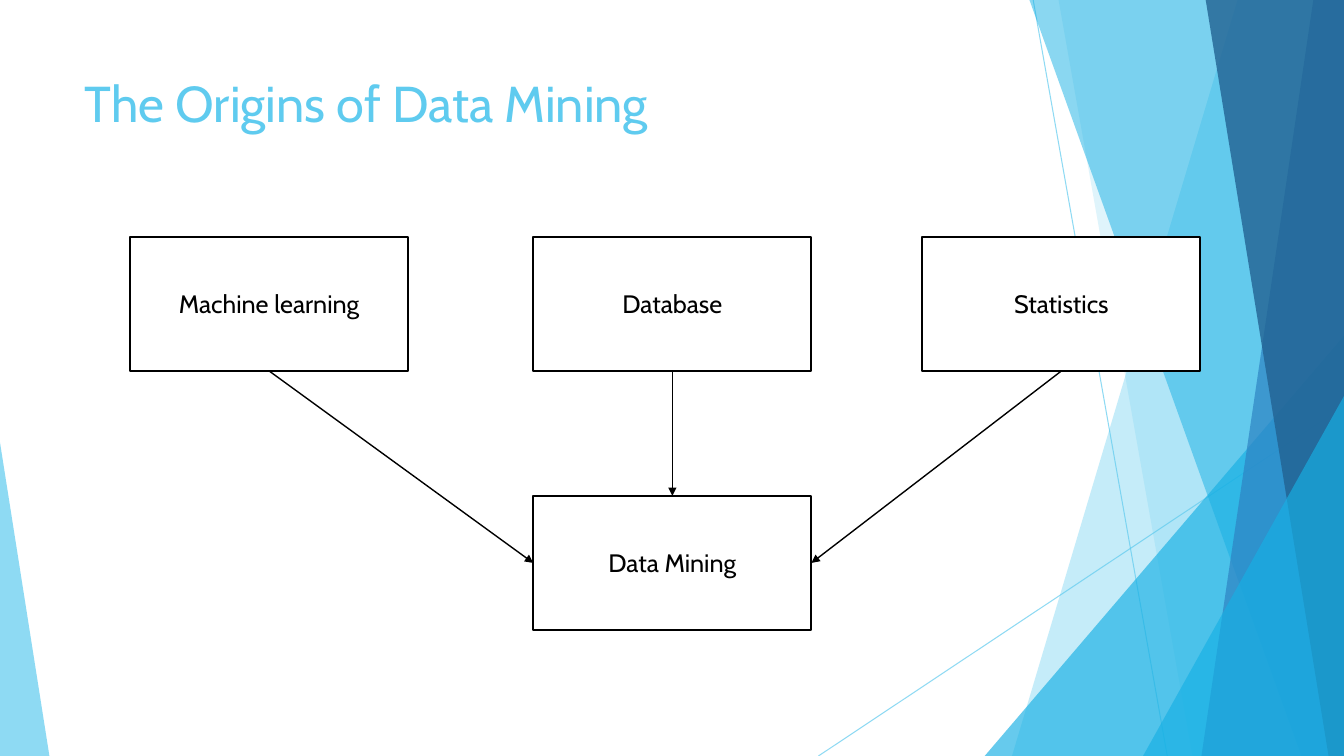
from dataclasses import dataclass

from lxml.etree import SubElement
from pptx import Presentation
from pptx.dml.color import RGBColor
from pptx.enum.shapes import MSO_CONNECTOR as Conn, MSO_SHAPE as Shape
from pptx.enum.text import MSO_ANCHOR as Anchor, PP_ALIGN as Align
from pptx.oxml.ns import qn
from pptx.shapes.autoshape import Shape as AutoShape
from pptx.shapes.connector import Connector
from pptx.text.text import TextFrame
from pptx.util import Pt

WIDTH, HEIGHT = 960, 540
PANE_TOP = -0.7
BOX_W, BOX_H = 198.7, 95.8
SOURCE_Y, RESULT_Y = 169.2, 354.2
FONT = "Cabin"
COLORS = {
    "sky": "5FCBEF",
    "cyan": "17B0E4",
    "blue": "2E83C3",
    "navy": "226292",
    "black": "000000",
    "white": "FFFFFF",
}
TOP, LEFT, BOTTOM, RIGHT = range(4)


@dataclass
class Ray:
    x1: float
    y1: float
    x2: float
    y2: float


@dataclass
class Pane:
    """Area from a slanted left edge to the right side of the slide."""
    top_x: float
    bottom_x: float
    color: str
    opacity: int


@dataclass
class Wedge:
    """Right triangle standing on the bottom of the slide."""
    x: float
    y: float
    w: float
    apex: float
    color: str
    opacity: int


@dataclass
class Source:
    label: str
    x: float
    result_side: int


RAYS = [Ray(738, 0, 833.8, HEIGHT), Ray(WIDTH, 290.2, 584.6, HEIGHT)]
FACETS = [
    Pane(884.2, 722.9, "sky", 36),
    Pane(756, 851.8, "sky", 20),
    Wedge(703.4, 239.8, 256.6, 1, "cyan", 66),
    Pane(735.1, 929.5, "cyan", 50),
    Pane(938.2, 858.2, "blue", 70),
    Pane(861.1, 949, "navy", 80),
    Wedge(816.5, 283, 143.5, 1, "cyan", 66),
    Wedge(0, 316.1, 35.3, 0, "sky", 70),
]
SOURCES = [
    Source("Machine learning", 92.9, LEFT),
    Source("Database", 380.9, TOP),
    Source("Statistics", 658.8, RIGHT),
]

prs = Presentation()
prs.slide_width, prs.slide_height = Pt(WIDTH), Pt(HEIGHT)
shapes = prs.slides.add_slide(prs.slide_layouts[6]).shapes


def rgb(name: str) -> RGBColor:
    return RGBColor.from_string(COLORS[name])


def set_opacity(s: AutoShape | Connector, percent: int) -> None:
    clr = s.element.spPr.find(".//" + qn("a:srgbClr"))
    SubElement(clr, qn("a:alpha")).set("val", str(percent * 1000))


def add_line(ray: Ray, color: str, width: float) -> Connector:
    s = shapes.add_connector(Conn.STRAIGHT, Pt(ray.x1), Pt(ray.y1), Pt(ray.x2), Pt(ray.y2))
    s.line.color.rgb = rgb(color)
    s.line.width = Pt(width)
    SubElement(s.element.spPr, qn("a:effectLst"))
    return s


def add_facet(facet: Pane | Wedge) -> None:
    if isinstance(facet, Pane):
        builder = shapes.build_freeform(Pt(facet.top_x), Pt(PANE_TOP))
        corners = [(WIDTH, PANE_TOP), (WIDTH, HEIGHT), (facet.bottom_x, HEIGHT)]
        builder.add_line_segments([(Pt(x), Pt(y)) for x, y in corners])
        s = builder.convert_to_shape()
    else:
        s = shapes.add_shape(Shape.ISOSCELES_TRIANGLE, Pt(facet.x), Pt(facet.y),
                             Pt(facet.w), Pt(HEIGHT - facet.y))
        s.adjustments[0] = facet.apex
    s.shadow.inherit = False
    s.fill.solid()
    s.fill.fore_color.rgb = rgb(facet.color)
    set_opacity(s, facet.opacity)
    s.line.fill.background()


def write(tf: TextFrame, text: str, size: float, color: str, align: Align) -> None:
    tf.word_wrap = True
    p = tf.paragraphs[0]
    p.alignment = align
    r = p.add_run()
    r.text = text
    r.font.name, r.font.size = FONT, Pt(size)
    r.font.color.rgb = rgb(color)


def add_box(label: str, x: float, y: float) -> AutoShape:
    s = shapes.add_shape(Shape.RECTANGLE, Pt(x), Pt(y), Pt(BOX_W), Pt(BOX_H))
    s.shadow.inherit = False
    s.fill.solid()
    s.fill.fore_color.rgb = rgb("white")
    s.line.color.rgb = rgb("black")
    s.line.width = Pt(1.5)
    s.text_frame.vertical_anchor = Anchor.MIDDLE
    write(s.text_frame, label, 18, "black", Align.CENTER)
    return s


def add_arrow(start: AutoShape, end: AutoShape, end_side: int) -> None:
    s = add_line(Ray(0, 0, 0, 0), "black", 1)
    s.begin_connect(start, BOTTOM)
    s.end_connect(end, end_side)
    ln = s.element.spPr.find(qn("a:ln"))
    SubElement(ln, qn("a:tailEnd")).set("type", "triangle")


def main() -> None:
    for ray in RAYS:
        set_opacity(add_line(ray, "sky", 0.75), 70)
    for facet in FACETS:
        add_facet(facet)

    title = shapes.add_textbox(Pt(53.3), Pt(48), Pt(677), Pt(104))
    write(title.text_frame, "The Origins of Data Mining", 36, "sky", Align.LEFT)

    boxes = [add_box(source.label, source.x, SOURCE_Y) for source in SOURCES]
    result = add_box("Data Mining", SOURCES[1].x, RESULT_Y)
    for source, box in zip(SOURCES, boxes):
        add_arrow(box, result, source.result_side)

    prs.save("out.pptx")


if __name__ == "__main__":
    main()
